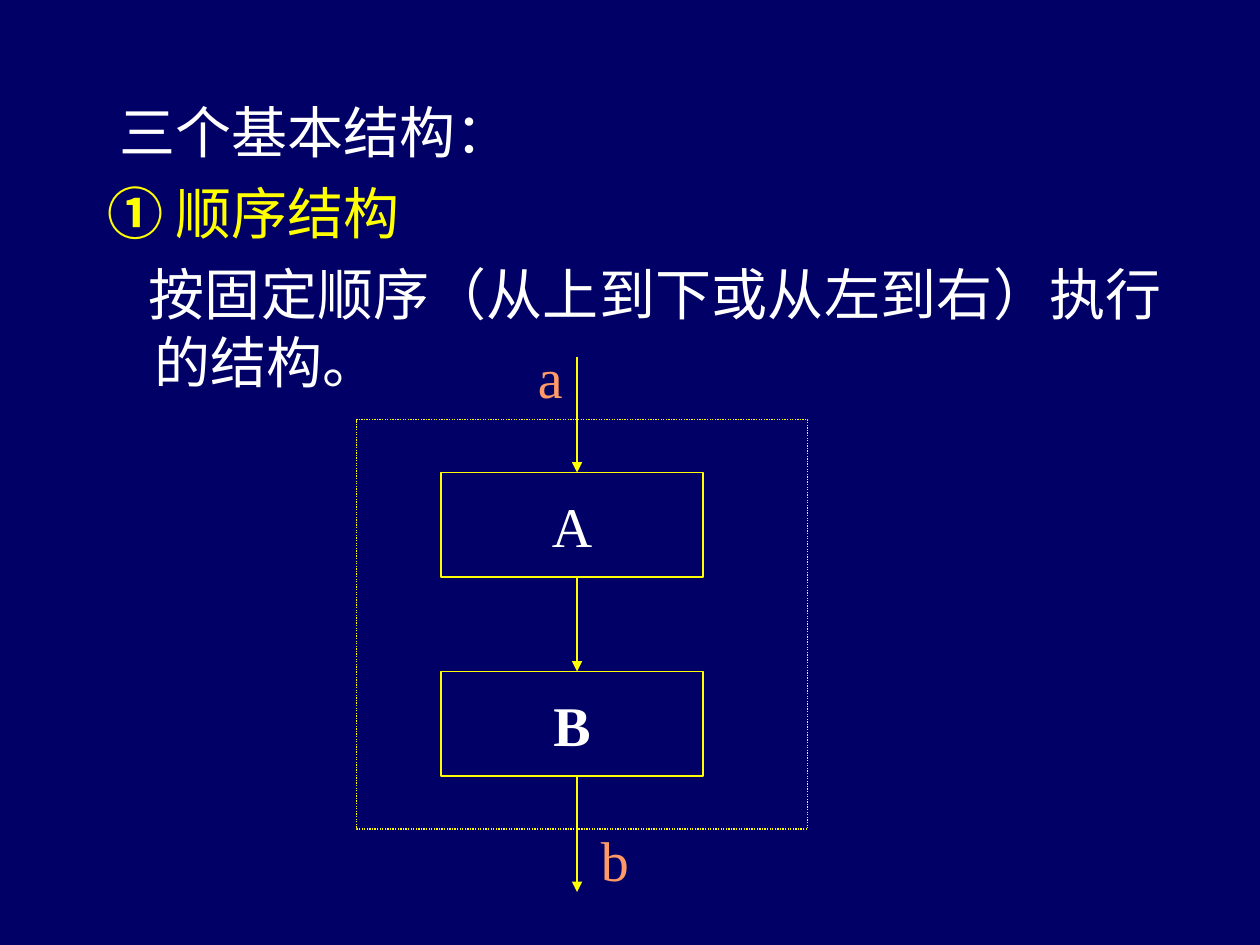
from lxml import etree
from pptx import Presentation
from pptx.dml.color import RGBColor
from pptx.enum.dml import MSO_LINE
from pptx.enum.shapes import MSO_CONNECTOR, MSO_SHAPE
from pptx.enum.text import MSO_ANCHOR, MSO_AUTO_SIZE, PP_ALIGN
from pptx.oxml.ns import qn
from pptx.util import Inches, Pt

NAVY = RGBColor(0x00, 0x00, 0x66)
YELLOW = RGBColor(0xFF, 0xFF, 0x00)
WHITE = RGBColor(0xFF, 0xFF, 0xFF)
ORANGE = RGBColor(0xFF, 0x99, 0x66)
CJK_FONT = "Noto Sans CJK SC"
LATIN_FONT = "Times New Roman"
LEFT, JUSTIFY, CENTER = PP_ALIGN.LEFT, PP_ALIGN.JUSTIFY, PP_ALIGN.CENTER


def style_run(run, font_name, color, bold=False):
    font = run.font
    font.name, font.size, font.bold = font_name, Pt(32), bold
    font.color.rgb = color
    east_asian = etree.SubElement(run._r.get_or_add_rPr(), qn("a:ea"))
    east_asian.set("typeface", font_name)


def add_box(left, top, width, height):
    box = slide.shapes.add_shape(
        MSO_SHAPE.RECTANGLE, Inches(left), Inches(top), Inches(width), Inches(height))
    box.shadow.inherit = False
    box.fill.solid()
    box.fill.fore_color.rgb = NAVY
    box.line.color.rgb = YELLOW
    box.line.width = Pt(0.75)
    return box


prs = Presentation()
prs.slide_width, prs.slide_height = Inches(10), Inches(7.5)
slide = prs.slides.add_slide(prs.slide_layouts[1])
slide.background.fill.solid()
slide.background.fill.fore_color.rgb = NAVY

# Explanation; the slide has no title
unused_title = slide.shapes.title.element
unused_title.getparent().remove(unused_title)
body = slide.placeholders[1]
body.left, body.top = Inches(0.75), Inches(0.67)
body.width, body.height = Inches(8.58), Inches(6.58)
explanation = body.text_frame
explanation.auto_size = MSO_AUTO_SIZE.NONE
explanation.margin_top = Inches(0.1)

# First-line indent, alignment, runs as (text, colour, bold)
lines = [
    (-0.28, LEFT, [("三个基本结构：", WHITE, False)]),
    (-0.38, LEFT, [("① ", YELLOW, True), ("顺序结构", YELLOW, False)]),
    (-0.05, JUSTIFY, [("按固定顺序（从上到下或从左到右）执行的结构。", WHITE, False)]),
]
for index, (indent, alignment, runs) in enumerate(lines):
    paragraph = explanation.paragraphs[0] if index == 0 else explanation.add_paragraph()
    paragraph.alignment = alignment
    paragraph.space_before = Pt(8)
    paragraph.line_spacing = Pt(38.5)
    properties = paragraph._p.get_or_add_pPr()
    properties.set("marL", str(Inches(0.38)))
    properties.set("indent", str(Inches(indent)))
    etree.SubElement(properties, qn("a:buNone"))
    for text, color, bold in runs:
        run = paragraph.add_run()
        run.text = text
        style_run(run, CJK_FONT, color, bold)

# Flow chart: dotted frame with two steps
frame = add_box(2.83, 3.33, 3.58, 3.25)
frame.line.dash_style = MSO_LINE.ROUND_DOT

for step, top, bold in [("A", 3.75, False), ("B", 5.33, True)]:
    box = add_box(3.5, top, 2.08, 0.83)
    box.text_frame.text = step
    box.text_frame.word_wrap = False
    box.text_frame.vertical_anchor = MSO_ANCHOR.MIDDLE
    paragraph = box.text_frame.paragraphs[0]
    paragraph.alignment = CENTER
    style_run(paragraph.runs[0], LATIN_FONT, WHITE, bold)

# The flow runs slightly right of the boxes' centre
flow_x = Inches(4.58)
for start, end in [(2.83, 3.75), (4.58, 5.33), (6.17, 7.08)]:
    arrow = slide.shapes.add_connector(
        MSO_CONNECTOR.STRAIGHT, flow_x, Inches(start), flow_x, Inches(end))
    arrow.line.color.rgb = YELLOW
    arrow.line.width = Pt(0.75)
    etree.SubElement(arrow.line._get_or_add_ln(), qn("a:tailEnd")).set("type", "triangle")
    etree.SubElement(arrow._element.spPr, qn("a:effectLst"))

for label, left, top, width in [("a", 4.17, 2.67, 0.4), ("b", 4.67, 6.5, 0.42)]:
    label_box = slide.shapes.add_textbox(
        Inches(left), Inches(top), Inches(width), Inches(0.64))
    label_box.text_frame.text = label
    label_box.text_frame.word_wrap = False
    label_box.text_frame.auto_size = MSO_AUTO_SIZE.SHAPE_TO_FIT_TEXT
    style_run(label_box.text_frame.paragraphs[0].runs[0], LATIN_FONT, ORANGE)

prs.save("out.pptx")
